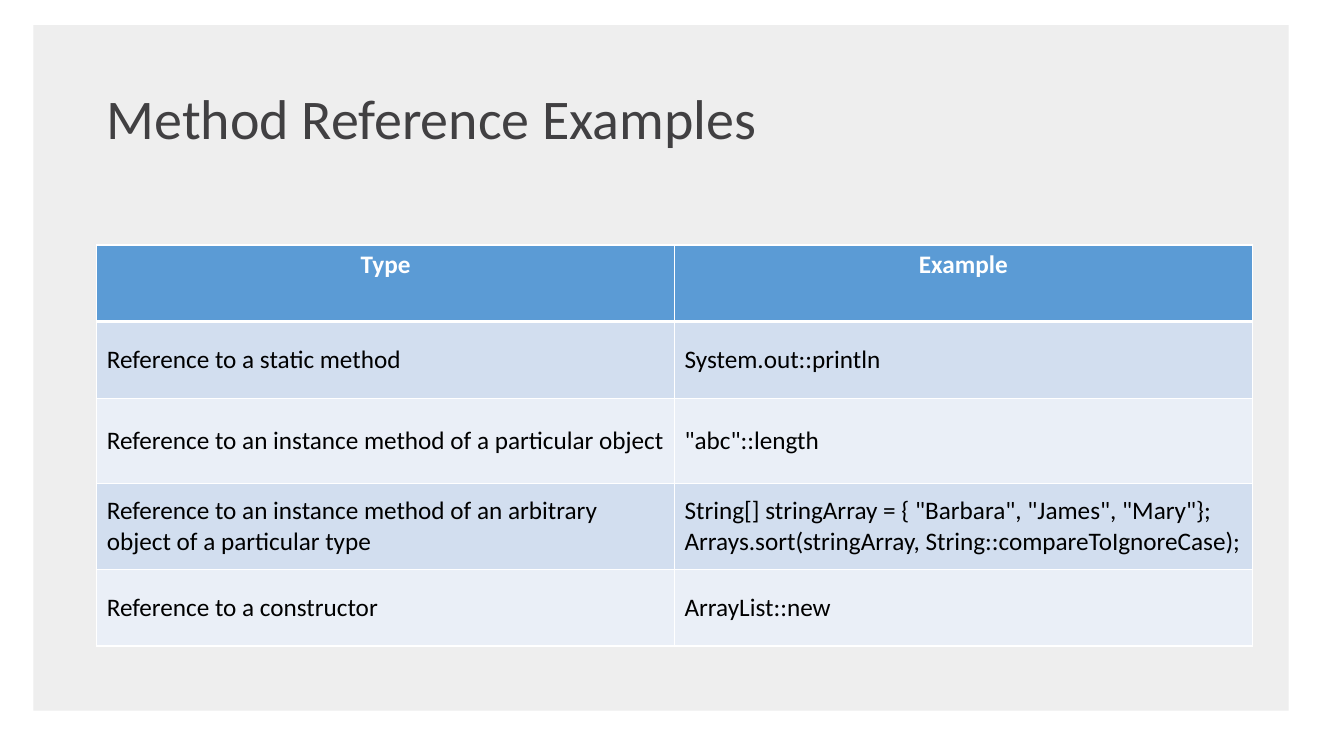
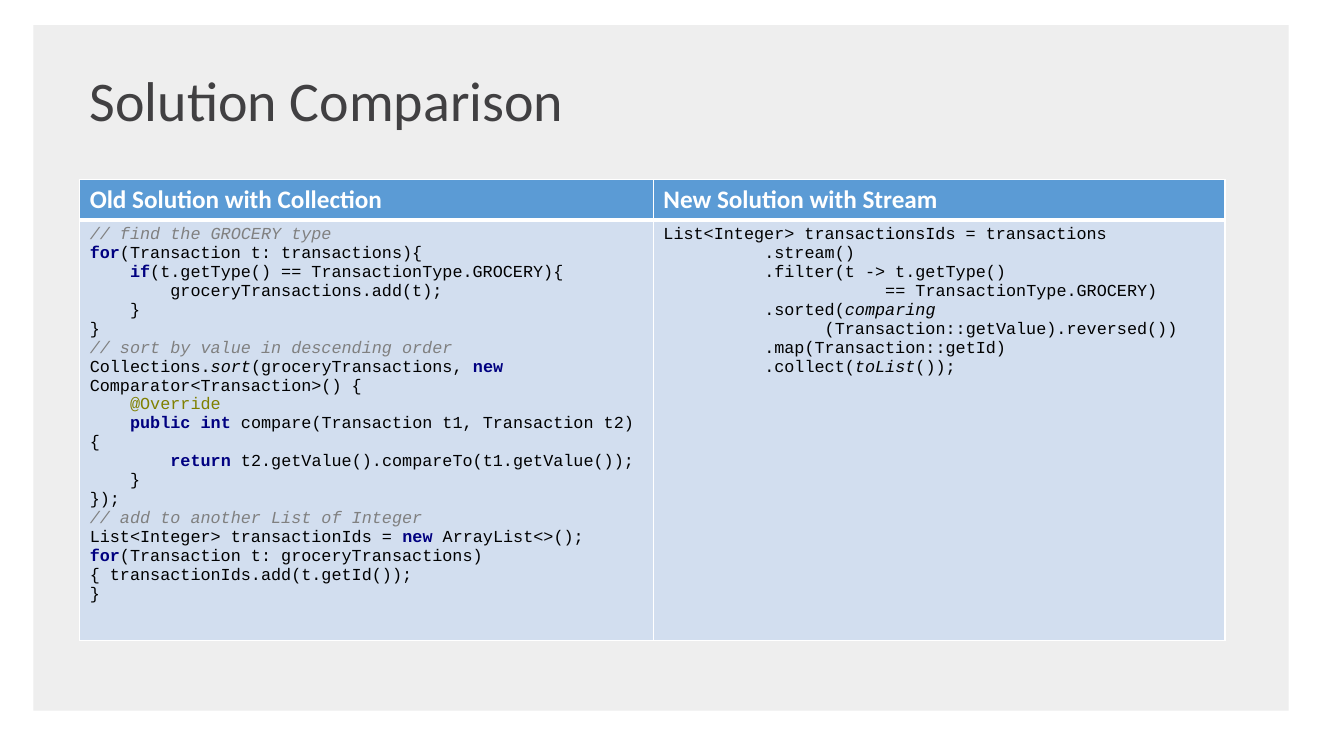
from dataclasses import dataclass
from typing import NamedTuple

from lxml.etree import SubElement
from pptx import Presentation
from pptx.dml.color import RGBColor
from pptx.enum.shapes import MSO_SHAPE
from pptx.enum.text import MSO_ANCHOR, MSO_AUTO_SIZE, PP_ALIGN
from pptx.oxml.ns import qn
from pptx.util import Inches, Pt

WHITE = RGBColor(0xFF, 0xFF, 0xFF)
BLACK = RGBColor(0x00, 0x00, 0x00)
PANEL = RGBColor(0xEE, 0xEE, 0xEE)
SLATE = RGBColor(0x41, 0x40, 0x42)
BLUE = RGBColor(0x5B, 0x9B, 0xD5)
BANDS = (RGBColor(0xD2, 0xDE, 0xEF), RGBColor(0xEA, 0xEF, 0xF7))
NAVY = RGBColor(0x00, 0x00, 0x80)
GRAY = RGBColor(0x80, 0x80, 0x80)
OLIVE = RGBColor(0x80, 0x80, 0x00)

CHAR = 0.1  # inches per character of 12 pt Courier New
THIN, THICK = 1, 3  # cell border widths in points


@dataclass(frozen=True)
class Look:
    size: int
    font: str
    color: RGBColor
    bold: bool = False
    italic: bool = False


TITLE = Look(40, "Calibri", SLATE)
HEAD = Look(18, "Calibri", WHITE, bold=True)
BODY = Look(18, "Calibri", BLACK)
CODE = Look(12, "Courier New", BLACK)
KEY = Look(12, "Courier New", NAVY, bold=True)
NOTE = Look(12, "Courier New", GRAY, italic=True)
MARK = Look(12, "Courier New", OLIVE)
CALL = Look(12, "Courier New", BLACK, italic=True)


class Run(NamedTuple):
    text: str
    look: Look = CODE


class Line(NamedTuple):
    runs: list[Run]
    indent: int = 0  # characters


@dataclass
class Grid:
    left: float
    top: float
    cols: list[float]
    rows: list[float]
    cells: list[list[list[Line]]]
    align: PP_ALIGN = PP_ALIGN.LEFT  # header alignment
    anchor: MSO_ANCHOR = MSO_ANCHOR.TOP  # body anchor


@dataclass
class Page:
    title: str
    left: float
    top: float
    grid: Grid


def plain(text: str, look: Look) -> list[Line]:
    return [Line([Run(text, look)])]


def code(indent: int, *parts: Run | str) -> Line:
    runs = [Run(part) if isinstance(part, str) else part for part in parts]
    return Line(runs, indent)


# Slide content
KINDS = [
    ("Reference to a static method", "System.out::println"),
    ("Reference to an instance method of a particular object", '"abc"::length'),
    ("Reference to an instance method of an arbitrary object of a particular type",
     'String[] stringArray = { "Barbara", "James", "Mary"}; '
     "Arrays.sort(stringArray, String::compareToIgnoreCase);"),
    ("Reference to a constructor", "ArrayList::new"),
]

OLD = [
    code(0, Run("// find the GROCERY type", NOTE)),
    code(0, Run("for", KEY), "(Transaction t: transactions){"),
    code(4, Run("if", KEY), "(t.getType() == TransactionType.GROCERY){"),
    code(8, "groceryTransactions.add(t);"),
    code(4, "}"),
    code(0, "}"),
    code(0, Run("// sort by value in descending order", NOTE)),
    code(0, "Collections.", Run("sort", CALL), "(groceryTransactions, ",
         Run("new ", KEY), "Comparator<Transaction>() {"),
    code(4, Run("@Override", MARK)),
    code(4, Run("public int ", KEY), "compare(Transaction t1, Transaction t2) {"),
    code(8, Run("return ", KEY), "t2.getValue().compareTo(t1.getValue());"),
    code(4, "}"),
    code(0, "});"),
    code(0, Run("// add to another List of Integer", NOTE)),
    code(0, "List<Integer> transactionIds = ", Run("new ", KEY), "ArrayList<>();"),
    code(0, Run("for", KEY),
         "(Transaction t: groceryTransactions){ transactionIds.add(t.getId());"),
    code(0, "}"),
]

NEW = [
    code(0, "List<Integer> transactionsIds = transactions"),
    code(10, ".stream()"),
    code(10, ".filter(t -> t.getType()"),
    code(22, "== TransactionType.GROCERY)"),
    code(10, ".sorted(", Run("comparing", CALL)),
    code(16, "(Transaction::getValue).reversed())"),
    code(10, ".map(Transaction::getId)"),
    code(10, ".collect(", Run("toList", CALL), "());"),
]

PAGES = [
    Page("Method Reference Examples", 0.96, 0.85, Grid(
        0.96, 2.43, [5.73, 5.73], [0.76, 0.76, 0.85, 0.85, 0.76],
        [[plain(text, HEAD) for text in ("Type", "Example")]]
        + [[plain(text, BODY) for text in pair] for pair in KINDS],
        PP_ALIGN.CENTER, MSO_ANCHOR.MIDDLE)),
    Page("Solution Comparison", 0.79, 0.68, Grid(
        0.79, 1.78, [5.69, 5.67], [0.4, 4.17],
        [[plain("Old Solution with Collection", HEAD),
          plain("New Solution with Stream", HEAD)],
         [OLD, NEW]])),
]


def add_run(para, text: str, look: Look) -> None:
    run = para.add_run()
    run.text = text
    font = run.font
    font.size, font.name = Pt(look.size), look.font
    font.bold, font.italic = look.bold, look.italic
    font.color.rgb = look.color


def write(frame, lines: list[Line], align: PP_ALIGN) -> None:
    for i, line in enumerate(lines):
        para = frame.add_paragraph() if i else frame.paragraphs[0]
        para.alignment = align
        if line.indent:
            props = para._p.get_or_add_pPr()
            props.set("marL", "0")
            props.set("indent", str(Inches(line.indent * CHAR)))
        for run in line.runs:
            add_run(para, run.text, run.look)


def add_edges(cell, top: int, base: int) -> None:
    props = cell._tc.get_or_add_tcPr()
    for side, width in (("L", THIN), ("R", THIN), ("T", top), ("B", base)):
        edge = SubElement(props, qn(f"a:ln{side}"), w=str(Pt(width)))
        fill = SubElement(edge, qn("a:solidFill"))
        SubElement(fill, qn("a:srgbClr"), val=str(WHITE))


def add_grid(slide, grid: Grid) -> None:
    table = slide.shapes.add_table(
        len(grid.rows), len(grid.cols), Inches(grid.left), Inches(grid.top),
        Inches(sum(grid.cols)), Inches(sum(grid.rows))).table
    for col, width in zip(table.columns, grid.cols):
        col.width = Inches(width)
    for row, height in zip(table.rows, grid.rows):
        row.height = Inches(height)
    for r, cells in enumerate(grid.cells):
        head = r == 0
        for c, lines in enumerate(cells):
            cell = table.cell(r, c)
            # Thick rule between header and body
            add_edges(cell, THICK if r == 1 else THIN, THICK if head else THIN)
            cell.fill.solid()
            cell.fill.fore_color.rgb = BLUE if head else BANDS[(r - 1) % 2]
            cell.vertical_anchor = MSO_ANCHOR.TOP if head else grid.anchor
            write(cell.text_frame, lines, grid.align if head else PP_ALIGN.LEFT)


def set_title(slide, page: Page) -> None:
    title = slide.shapes.title
    title.left, title.top = Inches(page.left), Inches(page.top)
    title.width, title.height = Inches(8.75), Inches(0.52)
    frame = title.text_frame
    frame.word_wrap = True
    frame.auto_size = MSO_AUTO_SIZE.NONE
    frame.vertical_anchor = MSO_ANCHOR.TOP
    write(frame, plain(page.title, TITLE), PP_ALIGN.LEFT)
    para = frame.paragraphs[0]
    para.line_spacing, para.space_before = 0.9, Pt(10)


def add_panel(slide) -> None:
    """Draw the gray panel and move it to the layout that the slides share."""
    panel = slide.shapes.add_shape(MSO_SHAPE.RECTANGLE, Inches(0.33),
                                   Inches(0.25), Inches(12.45), Inches(6.8))
    panel.shadow.inherit = False
    panel.fill.solid()
    panel.fill.fore_color.rgb = PANEL
    panel.line.fill.background()
    panel.element.nvSpPr.cNvPr.set("id", "90")
    slide.slide_layout.shapes.element.insert(2, panel.element)


def main() -> None:
    deck = Presentation()
    deck.slide_width, deck.slide_height = Inches(13.33), Inches(7.5)
    layout = deck.slide_layouts[5]
    for i, page in enumerate(PAGES):
        slide = deck.slides.add_slide(layout)
        if i == 0:
            add_panel(slide)
        set_title(slide, page)
        add_grid(slide, page.grid)
    deck.save("out.pptx")


if __name__ == "__main__":
    main()
